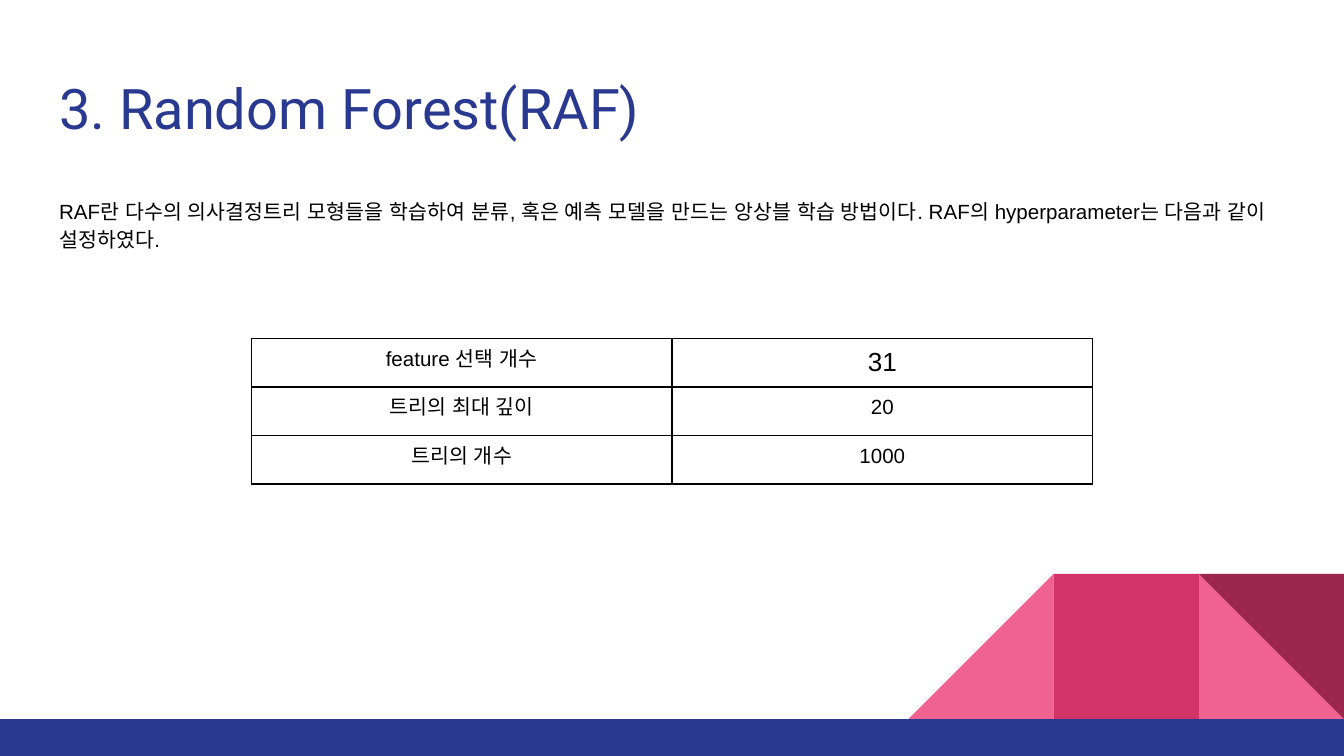
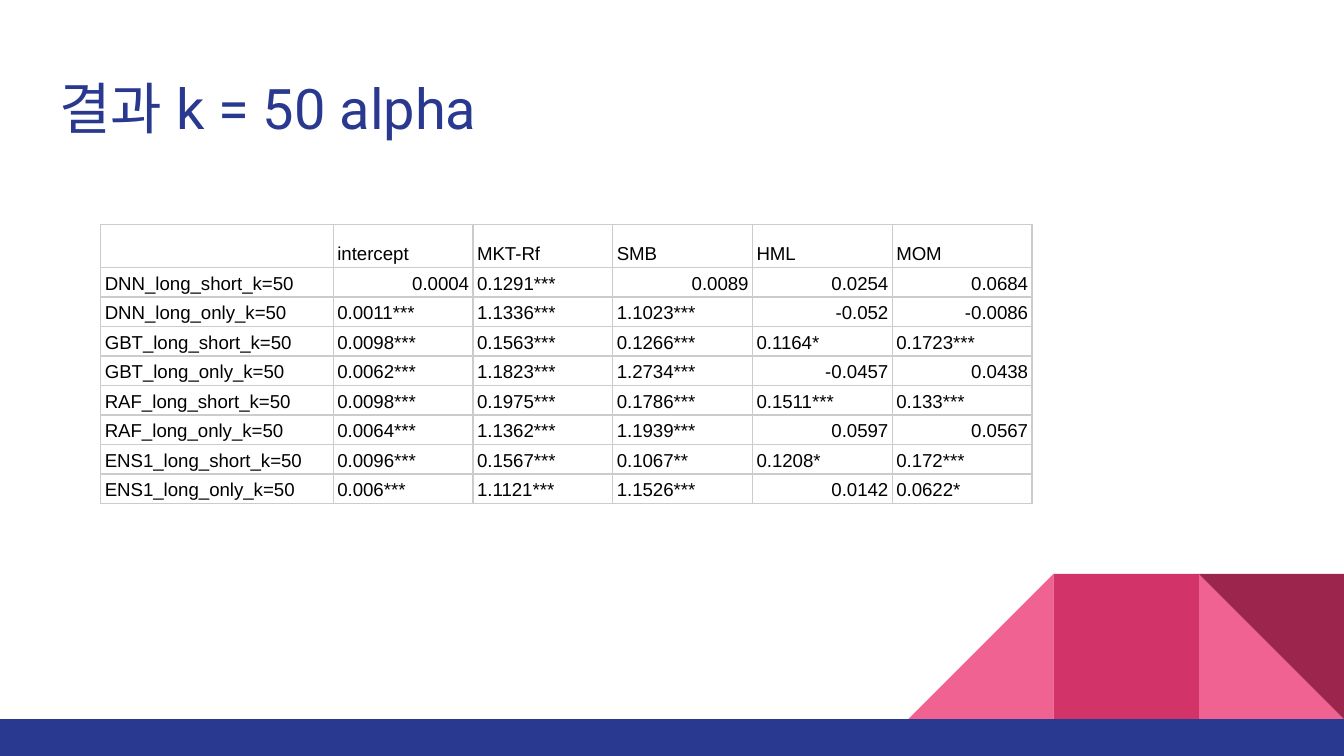
from lxml.etree import SubElement
from pptx import Presentation
from pptx.dml.color import RGBColor
from pptx.enum.shapes import MSO_SHAPE as Preset
from pptx.enum.text import MSO_ANCHOR as Anchor, MSO_AUTO_SIZE as AutoSize, PP_ALIGN as Align
from pptx.oxml.ns import qn
from pptx.util import Inches, Pt

NAVY, PINK, ROSE, WINE = "2A3990", "F06292", "D23369", "9C254D"
BLACK, GREY = "000000", "CCCCCC"
HEADING_FONT, BODY_FONT = "Roboto", "Arial"

FOREST_SETTINGS = [
    ["feature 선택 개수", "31"],
    ["트리의 최대 깊이", "20"],
    ["트리의 개수", "1000"],
]
ALPHA_RESULTS = [
    ["", "intercept", "MKT-Rf", "SMB", "HML", "MOM"],
    ["DNN_long_short_k=50", "0.0004", "0.1291***", "0.0089", "0.0254", "0.0684"],
    ["DNN_long_only_k=50", "0.0011***", "1.1336***", "1.1023***", "-0.052", "-0.0086"],
    ["GBT_long_short_k=50", "0.0098***", "0.1563***", "0.1266***", "0.1164*", "0.1723***"],
    ["GBT_long_only_k=50", "0.0062***", "1.1823***", "1.2734***", "-0.0457", "0.0438"],
    ["RAF_long_short_k=50", "0.0098***", "0.1975***", "0.1786***", "0.1511***", "0.133***"],
    ["RAF_long_only_k=50", "0.0064***", "1.1362***", "1.1939***", "0.0597", "0.0567"],
    ["ENS1_long_short_k=50", "0.0096***", "0.1567***", "0.1067**", "0.1208*", "0.172***"],
    ["ENS1_long_only_k=50", "0.006***", "1.1121***", "1.1526***", "0.0142", "0.0622*"],
]


def rgb(color):
    return RGBColor.from_string(color)


def set_all(target, **values):
    for attribute, value in values.items():
        setattr(target, attribute, value)


def set_margins(target, horizontal, vertical):
    set_all(target, margin_left=Inches(horizontal), margin_right=Inches(horizontal),
            margin_top=Inches(vertical), margin_bottom=Inches(vertical))


def write(paragraph, text, size, font=BODY_FONT, color=BLACK, align=Align.LEFT, spacing=1.0):
    set_all(paragraph, alignment=align, line_spacing=spacing, space_before=Pt(0))
    if not text:
        SubElement(paragraph._p, qn("a:endParaRPr"), sz=str(size * 100))
        return
    run = paragraph.add_run()
    run.text = text
    set_all(run.font, size=Pt(size), name=font)
    run.font.color.rgb = rgb(color)
    for script in ("ea", "cs"):
        SubElement(run._r.get_or_add_rPr(), qn(f"a:{script}"), typeface=font)


def draw_borders(cell, color, width):
    properties = cell._tc.get_or_add_tcPr()
    for side in ("lnL", "lnR", "lnT", "lnB"):
        line = SubElement(properties, qn(f"a:{side}"), w=str(Pt(width)))
        fill = SubElement(line, qn("a:solidFill"))
        SubElement(fill, qn("a:srgbClr"), val=color)


class Deck:
    TITLE_AND_BODY, TITLE_ONLY = 1, 5
    TILE, BAND_TOP = 1.08, 5.35

    def __init__(self):
        self.presentation = Presentation()
        width = Inches(10)
        set_all(self.presentation, slide_width=width, slide_height=width * 9 // 16)
        self.slide = None

    def add_slide(self, title, layout):
        self.slide = self.presentation.slides.add_slide(self.presentation.slide_layouts[layout])
        self.decorate()
        self.fill_placeholder(0, 0.45, 0.66, title, size=30, font=HEADING_FONT, color=NAVY)

    def shape(self, preset, left, top, width, height, color):
        shape = self.slide.shapes.add_shape(
            preset, Inches(left), Inches(top), Inches(width), Inches(height))
        shape.shadow.inherit = False
        shape.fill.solid()
        shape.fill.fore_color.rgb = rgb(color)
        shape.line.fill.background()
        return shape

    def tile(self, preset, column, color):
        """Place a square in the corner pattern, columns counted from the right edge."""
        return self.shape(preset, 10 - column * self.TILE, self.BAND_TOP - self.TILE,
                          self.TILE, self.TILE, color)

    def decorate(self):
        self.tile(Preset.RIGHT_TRIANGLE, 1, PINK)
        left_slope = self.tile(Preset.RIGHT_TRIANGLE, 3, PINK)
        left_slope._element.spPr.xfrm.set("flipH", "1")
        self.tile(Preset.RECTANGLE, 2, ROSE)
        self.tile(Preset.RIGHT_TRIANGLE, 1, WINE).rotation = 180
        self.shape(Preset.RECTANGLE, 0, self.BAND_TOP, 10, 0.28, NAVY)

    def fill_placeholder(self, index, top, height, text, **style):
        holder = self.slide.placeholders[index]
        set_all(holder, left=Inches(0.34), top=Inches(top),
                width=Inches(9.32), height=Inches(height))
        frame = holder.text_frame
        set_all(frame, word_wrap=True, auto_size=AutoSize.NONE, vertical_anchor=Anchor.TOP)
        set_margins(frame, 0.1, 0.1)
        write(frame.paragraphs[0], text, **style)
        return frame.paragraphs[0]

    def body(self, text):
        paragraph = self.fill_placeholder(1, 1.35, 0.61, text, size=11, spacing=1.15)
        properties = paragraph._p.get_or_add_pPr()
        properties.set("marL", "0")
        properties.set("indent", "0")
        SubElement(properties, qn("a:buNone"))

    def table(self, rows, left, top, widths, heights, border, margins, anchor, style_of):
        """Draw a plain table; style_of(row, column, text) gives the text style of a cell."""
        table = self.slide.shapes.add_table(
            len(rows), len(widths), Inches(left), Inches(top),
            Inches(sum(widths)), Inches(sum(heights))).table
        set_all(table, first_row=False, horz_banding=False)
        for column, width in zip(table.columns, widths):
            column.width = Inches(width)
        for row, height in zip(table.rows, heights):
            row.height = Inches(height)
        for r, row in enumerate(rows):
            for c, text in enumerate(row):
                cell = table.cell(r, c)
                draw_borders(cell, *border)
                cell.fill.background()
                cell.vertical_anchor = anchor
                set_margins(cell, *margins)
                write(cell.text_frame.paragraphs[0], text, **style_of(r, c, text))


def setting_style(row, column, text):
    return {"size": 14 if (row, column) == (0, 1) else 11, "align": Align.CENTER}


def result_style(row, column, text):
    """Right-align the coefficients that carry no significance stars."""
    plain_number = row > 0 and column > 0 and not text.endswith("*")
    return {"size": 10, "spacing": 1.15, "align": Align.RIGHT if plain_number else Align.LEFT}


def main():
    deck = Deck()

    deck.add_slide("3. Random Forest(RAF)", Deck.TITLE_AND_BODY)
    deck.body("RAF란 다수의 의사결정트리 모형들을 학습하여 분류, 혹은 예측 모델을 만드는 앙상블 학습 방법이다. "
              "RAF의 hyperparameter는 다음과 같이 설정하였다.")
    deck.table(FOREST_SETTINGS, 1.87, 2.52, [3.13] * 2, [0.36] * 3,
               border=(BLACK, 1), margins=(0.07, 0.07), anchor=Anchor.TOP,
               style_of=setting_style)

    deck.add_slide("결과 k = 50 alpha", Deck.TITLE_ONLY)
    deck.table(ALPHA_RESULTS, 0.75, 1.67, [1.73] + [1.04] * 5, [0.32] + [0.22] * 8,
               border=(GREY, 0.75), margins=(0.03, 0.02), anchor=Anchor.BOTTOM,
               style_of=result_style)

    deck.presentation.save("out.pptx")


if __name__ == "__main__":
    main()
